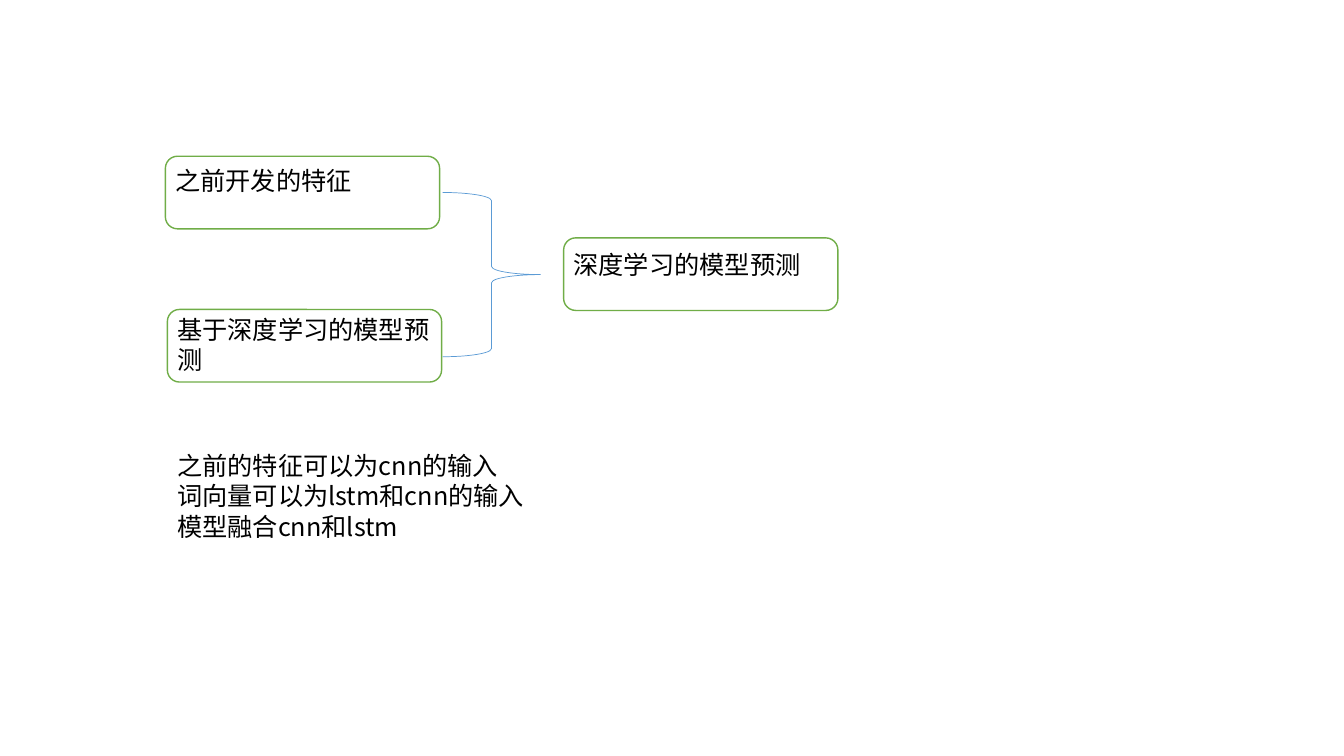
from pptx import Presentation
from pptx.dml.color import RGBColor
from pptx.enum.shapes import MSO_SHAPE
from pptx.util import Inches, Pt
from lxml.etree import SubElement
from pptx.oxml.ns import qn

GREEN = RGBColor(0x70, 0xAD, 0x47)
BLUE = RGBColor(0x5B, 0x9B, 0xD5)
WHITE = RGBColor(0xFF, 0xFF, 0xFF)
BLACK = RGBColor(0, 0, 0)
FONT = "Noto Sans CJK SC"
BOX_W, BOX_H = 2.72, 0.72


def add_text(slide, left, top, width, height, lines):
    box = slide.shapes.add_textbox(*map(Inches, (left, top, width, height)))
    frame = box.text_frame
    frame.word_wrap = True
    frame.text = "\n".join(lines)
    for para in frame.paragraphs:
        font = para.font
        font.name, font.size = FONT, Pt(18)
        font.color.rgb = BLACK
        SubElement(para._p.pPr.find(qn("a:defRPr")), qn("a:ea"), typeface=FONT)


def add_shape(slide, kind, left, top, width, height, color, weight):
    shape = slide.shapes.add_shape(kind, *map(Inches, (left, top, width, height)))
    shape.shadow.inherit = False
    shape.line.color.rgb = color
    shape.line.width = Pt(weight)
    return shape


def add_step(slide, left, top, label, drop, height):
    step = add_shape(slide, MSO_SHAPE.ROUNDED_RECTANGLE,
                     left, top, BOX_W, BOX_H, GREEN, 1)
    step.fill.solid()
    step.fill.fore_color.rgb = WHITE
    add_text(slide, left, top + drop, BOX_W + 0.03, height, [label])


def add_flow(slide, left, top):
    add_step(slide, left + 3.95, top + 0.81, "深度学习的模型预测", 0.06, 0.4)
    add_step(slide, left + 0.02, top + 1.52, "基于深度学习的模型预测", 0, 0.71)
    add_step(slide, left, top, "之前开发的特征", 0.04, 0.4)
    brace = add_shape(slide, MSO_SHAPE.RIGHT_BRACE,
                      left + 2.75, top + 0.36, 0.97, 1.63, BLUE, 0.5)
    brace.fill.background()


deck = Presentation()
deck.slide_width, deck.slide_height = Inches(13.33), Inches(7.5)
slide = deck.slides.add_slide(deck.slide_layouts[6])
add_flow(slide, 1.64, 1.55)
add_text(slide, 1.66, 4.42, 4.07, 1.01, [
    "之前的特征可以为cnn的输入",
    "词向量可以为lstm和cnn的输入",
    "模型融合cnn和lstm",
])
deck.save("out.pptx")
